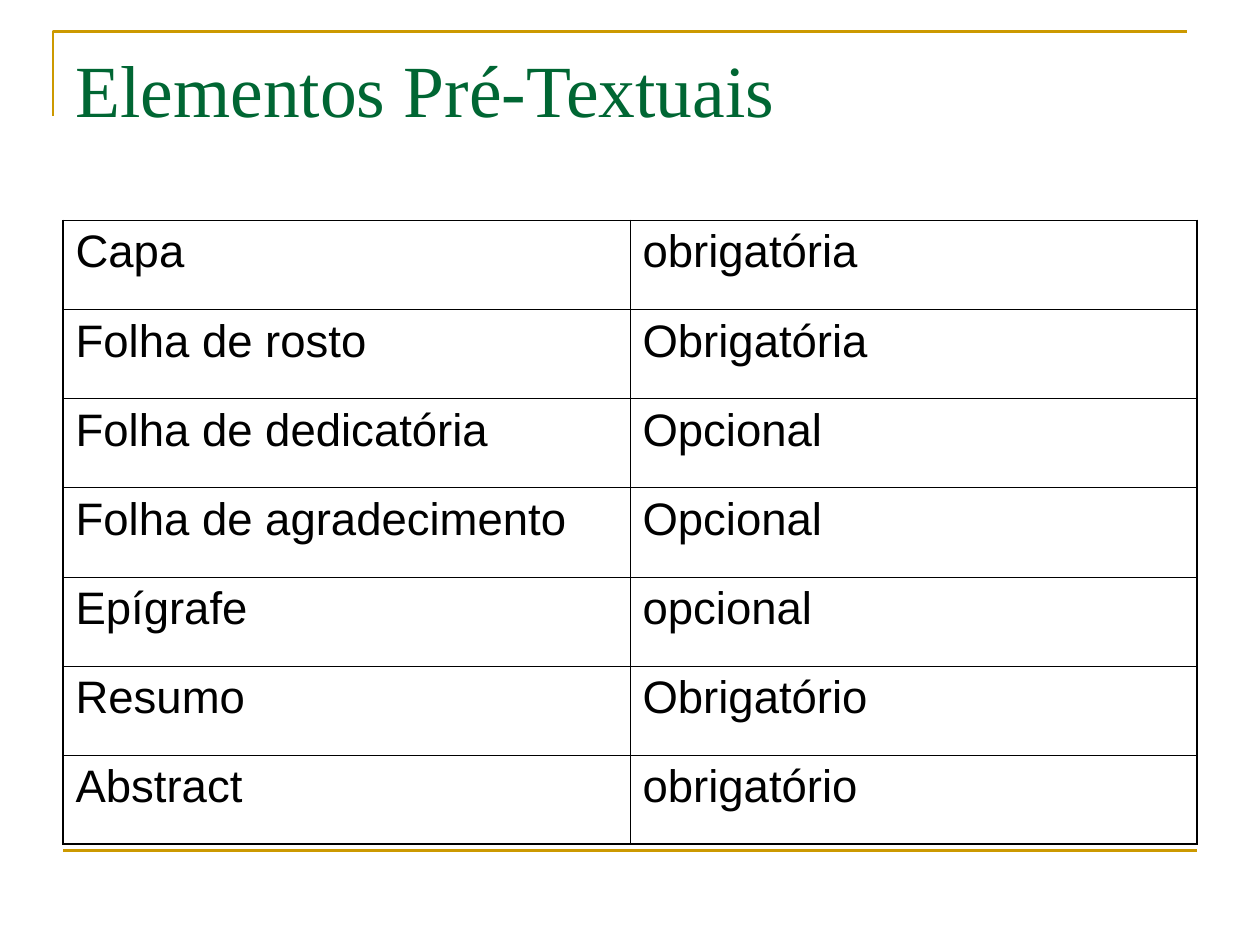
"""Build a slide that lists pre-textual elements and whether each is required."""
from lxml.etree import SubElement
from pptx import Presentation
from pptx.dml.color import RGBColor
from pptx.enum.shapes import MSO_CONNECTOR
from pptx.enum.text import MSO_ANCHOR, PP_ALIGN
from pptx.oxml import parse_xml
from pptx.oxml.ns import nsdecls, qn
from pptx.util import Pt

PX = 9144
GOLD, GREEN, BLACK = "CC9900", "006633", "000000"
THICK, THIN = Pt(1.08), Pt(0.45)
ELEMENTS = [
    ("Capa", "obrigatória"),
    ("Folha de rosto", "Obrigatória"),
    ("Folha de dedicatória", "Opcional"),
    ("Folha de agradecimento", "Opcional"),
    ("Epígrafe", "opcional"),
    ("Resumo", "Obrigatório"),
    ("Abstract", "obrigatório"),
]


def color(value):
    return RGBColor.from_string(value)


def write(frame, text, *, font, size, fill, space_before=0):
    frame.word_wrap = True
    para = frame.paragraphs[0]
    para.alignment = PP_ALIGN.LEFT
    para.space_before = Pt(space_before)
    span = para.add_run()
    span.text = text
    span.font.name = font
    span.font.size = Pt(size)
    span.font.color.rgb = color(fill)


deck = Presentation()
deck.slide_width, deck.slide_height = 1000 * PX, 750 * PX
page = deck.slides.add_slide(deck.slide_layouts[5])

outline = page.shapes.build_freeform(42, 92, scale=PX)
outline.add_line_segments([(42, 25), (942, 25)], close=False)
bracket = outline.convert_to_shape()
bracket.fill.background()
bracket.shadow.inherit = False

rule = page.shapes.add_connector(
    MSO_CONNECTOR.STRAIGHT, 50 * PX, 675 * PX, 950 * PX, 675 * PX)
SubElement(rule.line._get_or_add_ln().getparent(), qn("a:effectLst"))

for stroke in (bracket, rule):
    stroke.line.color.rgb = color(GOLD)
    stroke.line.width = Pt(1.5)

title = page.shapes.title
title.left, title.top, title.width, title.height = 50 * PX, 30 * PX, 900 * PX, 125 * PX
title.text_frame.vertical_anchor = MSO_ANCHOR.TOP
write(title.text_frame, "Elementos Pré-Textuais",
      font="Times New Roman", size=42, fill=GREEN)

table = page.shapes.add_table(
    len(ELEMENTS), 2, 50 * PX, 175 * PX, 900 * PX, 495 * PX).table
table.first_row = table.horz_banding = False
last_row = len(ELEMENTS) - 1

for row, texts in enumerate(ELEMENTS):
    for column, text in enumerate(texts):
        cell = table.cell(row, column)
        cell.fill.background()
        write(cell.text_frame, text, font="Arial", size=26, fill=BLACK, space_before=6.5)
        outer_edges = {"L": column == 0, "R": column == 1,
                       "T": row == 0, "B": row == last_row}
        properties = cell._tc.get_or_add_tcPr()
        for position, (side, outer) in enumerate(outer_edges.items()):
            border = parse_xml(
                f'<a:ln{side} {nsdecls("a")} w="{THICK if outer else THIN}">'
                f'<a:solidFill><a:srgbClr val="{BLACK}"/></a:solidFill></a:ln{side}>')
            properties.insert(position, border)

deck.save("out.pptx")
